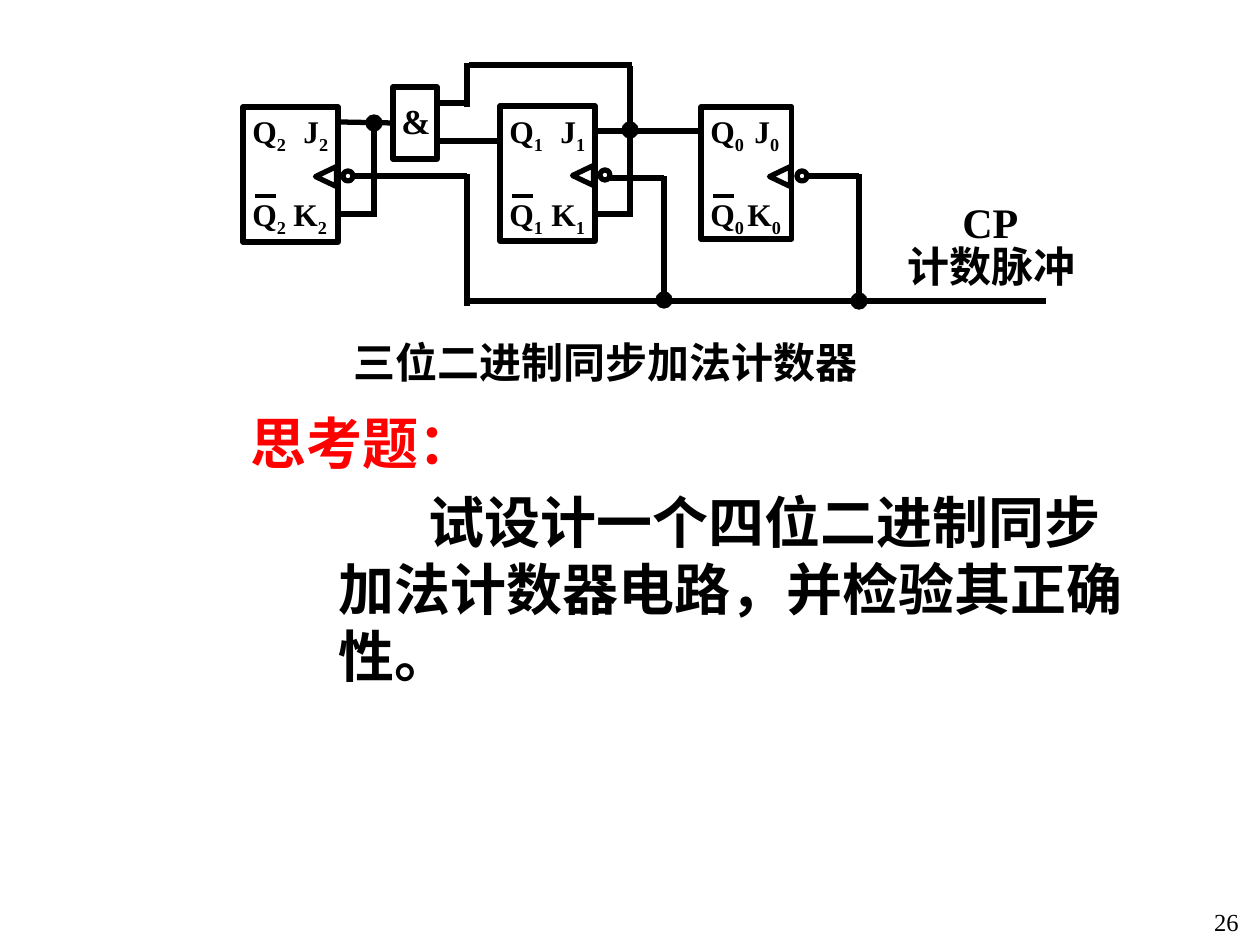
from lxml.etree import SubElement
from pptx import Presentation
from pptx.dml.color import RGBColor
from pptx.enum.shapes import MSO_CONNECTOR, MSO_SHAPE
from pptx.enum.text import MSO_ANCHOR, MSO_AUTO_SIZE, PP_ALIGN
from pptx.oxml.ns import qn
from pptx.util import Pt

PX = 914400 / 126
BLACK = RGBColor(0, 0, 0)
WHITE = RGBColor(255, 255, 255)
RED = RGBColor(255, 0, 0)
FONT = "Times New Roman"

# index, left, top, width, height, left of J label, left of K label
FLIP_FLOPS = [
    ("2", 243, 107, 95, 135, 291, 281),
    ("1", 500, 106, 95, 135, 548, 539),
    ("0", 701, 107, 91, 132, 742, 735),
]
WIRES = [
    (805, 176, 859, 176), (610, 178, 664, 178), (355, 176, 467, 176),
    (598, 131, 701, 131), (598, 214, 632, 214), (437, 141, 503, 141),
    (340, 214, 374, 214), (374, 121, 374, 217), (440, 103, 467, 103),
    (630, 66, 630, 217), (467, 63, 467, 107), (469, 65, 632, 65),
    (467, 174, 467, 306), (664, 176, 664, 306), (859, 174, 859, 306),
    (467, 301, 1046, 301),
]
JUNCTIONS = [(630, 130), (664, 300), (859, 301), (374, 123)]
LABELS = [
    ("&", (389, 93, 64, 55), 20),
    ("计数脉冲", (895, 234, 205, 63), 24),
    ("三位二进制同步加法计数器", (341, 330, 557, 63), 24),
    ("CP", (950, 190, 103, 63), 24),
]


def px(value):
    return round(value * PX)


def style_font(font, size, color=BLACK, bold=True):
    font.name = FONT
    font.size = Pt(size)
    font.bold = bold
    font.color.rgb = color


def add_label(slide, text, box, size, bold=True, align=PP_ALIGN.LEFT):
    shape = slide.shapes.add_textbox(*map(px, box))
    shape.text_frame.word_wrap = True
    paragraph = shape.text_frame.paragraphs[0]
    paragraph.text = text
    paragraph.alignment = align
    style_font(paragraph.runs[0].font, size, bold=bold)
    return paragraph


def add_pin_label(slide, letter, index, left, top):
    paragraph = add_label(slide, letter, (left, top, 82, 55), 18)
    subscript = paragraph.add_run()
    subscript.text = index
    style_font(subscript.font, 18)
    subscript.font._element.set("baseline", "-25000")


def add_outline(slide, kind, box, fill=None, weight=3):
    shape = slide.shapes.add_shape(kind, *map(px, box))
    shape.shadow.inherit = False
    shape.line.color.rgb = BLACK
    shape.line.width = Pt(weight)
    if fill is None:
        shape.fill.background()
    else:
        shape.fill.solid()
        shape.fill.fore_color.rgb = fill
    return shape


def add_wire(slide, ends, weight=3):
    wire = slide.shapes.add_connector(MSO_CONNECTOR.STRAIGHT, *map(px, ends))
    wire.line.color.rgb = BLACK
    wire.line.width = Pt(weight)
    SubElement(wire._element.spPr, qn("a:effectLst"))
    return wire


def add_flip_flop(slide, index, left, top, width, height, j_left, k_left):
    right = left + width
    add_outline(slide, MSO_SHAPE.RECTANGLE, (left, top, width, height))
    clock = add_outline(slide, MSO_SHAPE.FLOWCHART_EXTRACT, (right - 22, top + 59, 20, 21))
    clock.rotation = 270
    add_outline(slide, MSO_SHAPE.OVAL, (right + 5, top + 64, 10, 10))
    add_wire(slide, (left + 12, 196, left + 33, 196), 2.25)
    for letter, label_left, label_top in (
        ("Q", left - 3, 106), ("Q", left - 3, 189),
        ("J", j_left, 106), ("K", k_left, 189),
    ):
        add_pin_label(slide, letter, index, label_left, label_top)


def add_gate(slide):
    gate = add_outline(slide, MSO_SHAPE.RECTANGLE, (393, 87, 44, 72), WHITE)
    gate_input = add_wire(slide, (340, 122, 393, 123))
    gate_input.end_connect(gate, 1)


def add_junction(slide, x, y):
    add_outline(slide, MSO_SHAPE.OVAL, (x - 8, y - 8, 16, 16), BLACK, 0.75)


def fill_placeholder(shape, text, box, color, indent=0):
    shape.left, shape.top, shape.width, shape.height = map(px, box)
    text_frame = shape.text_frame
    text_frame.text = text
    text_frame.word_wrap = True
    text_frame.auto_size = MSO_AUTO_SIZE.NONE
    text_frame.vertical_anchor = MSO_ANCHOR.TOP
    paragraph = text_frame.paragraphs[0]
    properties = paragraph._p.get_or_add_pPr()
    properties.set("marL", "0")
    properties.set("indent", str(px(indent)))
    SubElement(properties, qn("a:buNone"))
    paragraph.alignment = PP_ALIGN.LEFT
    paragraph.space_before = Pt(0)
    style_font(paragraph.runs[0].font, 32, color)


def main():
    presentation = Presentation()
    presentation.slide_width = px(1260)
    presentation.slide_height = px(945)
    slide = presentation.slides.add_slide(presentation.slide_layouts[1])

    for flip_flop in FLIP_FLOPS:
        add_flip_flop(slide, *flip_flop)
    add_gate(slide)
    for ends in WIRES:
        add_wire(slide, ends)
    for center in JUNCTIONS:
        add_junction(slide, *center)
    for label in LABELS:
        add_label(slide, *label)

    fill_placeholder(slide.shapes.title, "思考题：", (238, 402, 258, 81), RED)
    fill_placeholder(
        slide.placeholders[1],
        "试设计一个四位二进制同步加法计数器电路，并检验其正确性。",
        (326, 481, 811, 214), BLACK, indent=90,
    )
    add_label(slide, "26", (989, 901, 262, 40), 14, bold=False, align=PP_ALIGN.RIGHT)
    presentation.save("out.pptx")


if __name__ == "__main__":
    main()
